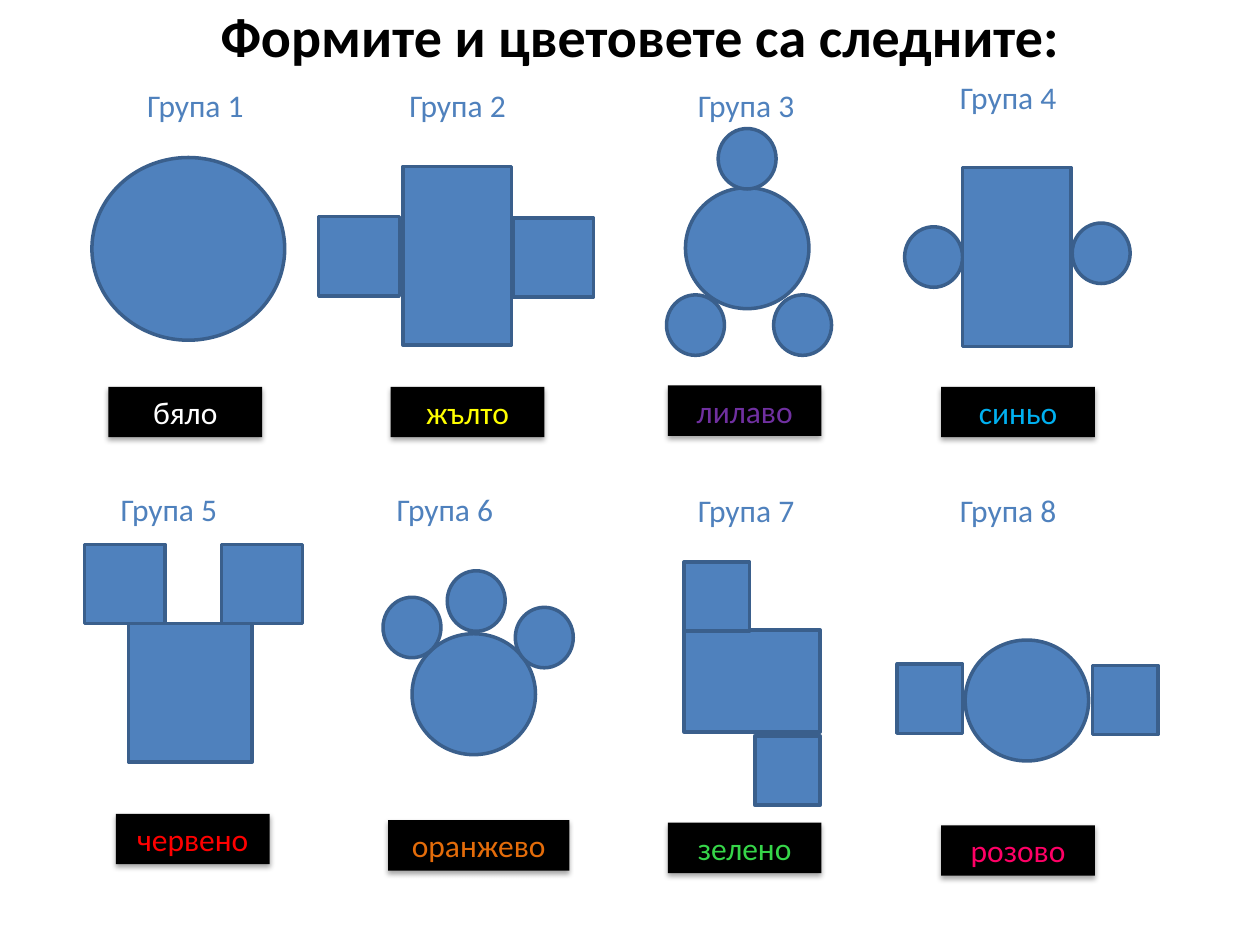
"""Build a slide of eight groups, each with a figure of simple shapes and a colour."""
import lxml.etree
import pptx
import pptx.dml.color
import pptx.enum.shapes
import pptx.enum.text
import pptx.oxml.ns
import pptx.util

Inches = pptx.util.Inches
Pt = pptx.util.Pt
ALIGN = pptx.enum.text.PP_ALIGN
RECT = pptx.enum.shapes.MSO_SHAPE.RECTANGLE
OVAL = pptx.enum.shapes.MSO_SHAPE.OVAL

FONT = "Calibri"
BLUE = "4F81BD"
OUTLINE = "3A5F8C"
BLACK = "000000"
LABEL_SIZE = (1.22, 0.4)

PLAIN_OVAL = (OVAL, 1.53, 1.45)
BIG_CIRCLE = (OVAL, 0.98, 0.96)
SMALL_CIRCLE = (OVAL, 0.46, 0.48)
TALL_BLOCK = (RECT, 0.86, 1.42)
WIDE_BLOCK = (RECT, 1.08, 0.81)
TORSO = (RECT, 0.98, 1.1)
SQUARE = (RECT, 0.64, 0.63)
SMALL_SQUARE = (RECT, 0.52, 0.55)

GROUPS = [
    ((1.07, 0.63), "бяло", "FFFFFF", (0.86, 3.07), 1.22,
     [(PLAIN_OVAL, 0.73, 1.25)]),
    ((3.15, 0.63), "жълто", "FFFF00", (3.1, 3.07), 1.22,
     [(TALL_BLOCK, 3.2, 1.32), (SQUARE, 2.53, 1.72), (SQUARE, 4.07, 1.73)]),
    ((5.44, 0.63), "лилаво", "7030A0", (5.3, 3.06), 1.22,
     [(BIG_CIRCLE, 5.44, 1.49), (SMALL_CIRCLE, 5.29, 2.34),
      (SMALL_CIRCLE, 6.14, 2.34), (SMALL_CIRCLE, 5.7, 1.02)]),
    ((7.52, 0.57), "синьо", "00B0F0", (7.47, 3.07), 1.22,
     [(SMALL_CIRCLE, 7.18, 1.8), (SMALL_CIRCLE, 8.51, 1.77), (TALL_BLOCK, 7.64, 1.33)]),
    ((0.86, 3.84), "червено", "FF0000", (0.92, 6.46), 1.22,
     [(TORSO, 1.02, 4.95), (SQUARE, 0.67, 4.32), (SQUARE, 1.76, 4.32)]),
    ((3.05, 3.84), "оранжево", "E46C0A", (3.08, 6.51), 1.44,
     [(BIG_CIRCLE, 3.27, 5.03), (SMALL_CIRCLE, 3.55, 4.53),
      (SMALL_CIRCLE, 3.04, 4.74), (SMALL_CIRCLE, 4.09, 4.82)]),
    ((5.44, 3.85), "зелено", "36D649", (5.3, 6.53), 1.22,
     [(WIDE_BLOCK, 5.43, 5), (SMALL_SQUARE, 5.43, 4.46), (SMALL_SQUARE, 5.99, 5.84)]),
    ((7.52, 3.85), "розово", "FF0066", (7.47, 6.55), 1.22,
     [(BIG_CIRCLE, 7.66, 5.08), (SMALL_SQUARE, 7.12, 5.27), (SMALL_SQUARE, 8.67, 5.28)]),
]


def rgb(value):
    """Return the colour for a hex string."""
    return pptx.dml.color.RGBColor.from_string(value)


def write_text(holder, text, *, color, size=18, bold=False, align=ALIGN.LEFT, wrap=True):
    """Fill a shape with one formatted line of text."""
    frame = holder.text_frame
    frame.word_wrap = wrap
    frame.auto_size = pptx.enum.text.MSO_AUTO_SIZE.SHAPE_TO_FIT_TEXT
    frame.vertical_anchor = pptx.enum.text.MSO_ANCHOR.TOP
    paragraph = frame.paragraphs[0]
    paragraph.alignment = align
    run = paragraph.add_run()
    run.text = text
    run.font.name = FONT
    run.font.size = Pt(size)
    run.font.bold = bold
    run.font.color.rgb = rgb(color)


def add_title(slide, text):
    """Place the slide title in its placeholder."""
    title = slide.shapes.title
    title.left, title.top = Inches(1.65), Inches(-0.04)
    title.width, title.height = Inches(6.93), Inches(0.64)
    write_text(title, text, color=BLACK, size=32, bold=True, wrap=False)


def add_heading(slide, text, left, top):
    """Add the heading of a group."""
    heading = slide.shapes.add_textbox(*map(Inches, (left, top, *LABEL_SIZE)))
    write_text(heading, text, color=BLUE)


def add_solid(slide, kind, box, fill):
    """Add a filled preset shape without a shadow."""
    solid = slide.shapes.add_shape(kind, *map(Inches, box))
    solid.shadow.inherit = False
    solid.fill.solid()
    solid.fill.fore_color.rgb = rgb(fill)
    return solid


def add_part(slide, part, left, top):
    """Add one outlined part of a figure."""
    kind, width, height = part
    piece = add_solid(slide, kind, (left, top, width, height), BLUE)
    piece.line.color.rgb = rgb(OUTLINE)
    piece.line.width = Pt(2)


def add_drop_shadow(solid):
    """Give a shape a soft shadow straight below it."""
    qn = pptx.oxml.ns.qn
    effects = solid.element.spPr.find(qn("a:effectLst"))
    shadow = lxml.etree.SubElement(
        effects, qn("a:outerShdw"), blurRad=str(Pt(3.1)), dist=str(Pt(1.8)),
        dir="5400000", rotWithShape="0")
    tint = lxml.etree.SubElement(shadow, qn("a:srgbClr"), val=BLACK)
    lxml.etree.SubElement(tint, qn("a:alpha"), val="35000")


def add_color_tag(slide, text, color, left, top, width):
    """Add a black tag with the name of a colour written in that colour."""
    tag = add_solid(slide, RECT, (left, top, width, LABEL_SIZE[1]), BLACK)
    tag.line.fill.background()
    add_drop_shadow(tag)
    write_text(tag, text, color=color, align=ALIGN.CENTER)


def main():
    """Build and save the slide."""
    deck = pptx.Presentation()
    deck.slide_width, deck.slide_height = Inches(10), Inches(7.5)
    slide = deck.slides.add_slide(deck.slide_layouts[5])
    add_title(slide, "Формите и цветовете са следните:")
    for number, group in enumerate(GROUPS, start=1):
        heading_at, color_name, color, tag_at, tag_width, figure = group
        add_heading(slide, f"Група {number}", *heading_at)
        add_color_tag(slide, color_name, color, *tag_at, tag_width)
        for part, left, top in figure:
            add_part(slide, part, left, top)
    deck.save("out.pptx")


if __name__ == "__main__":
    main()
